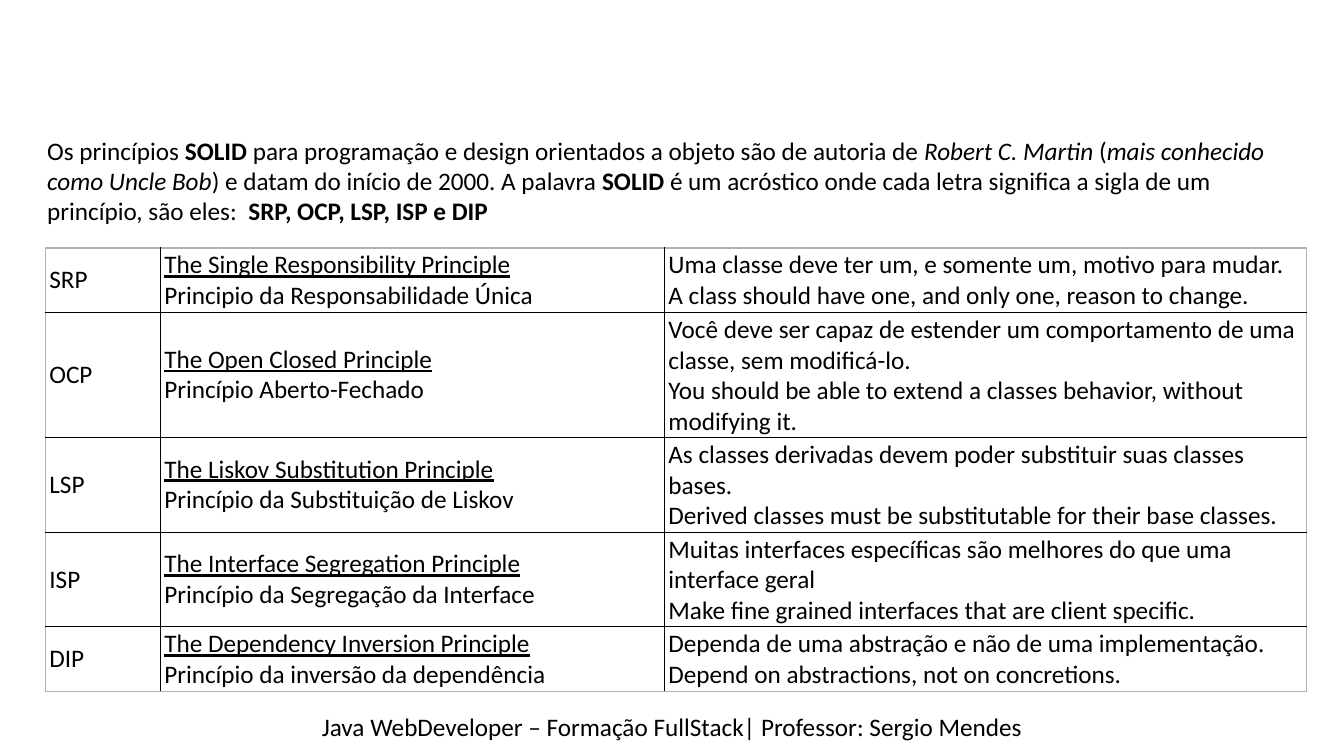
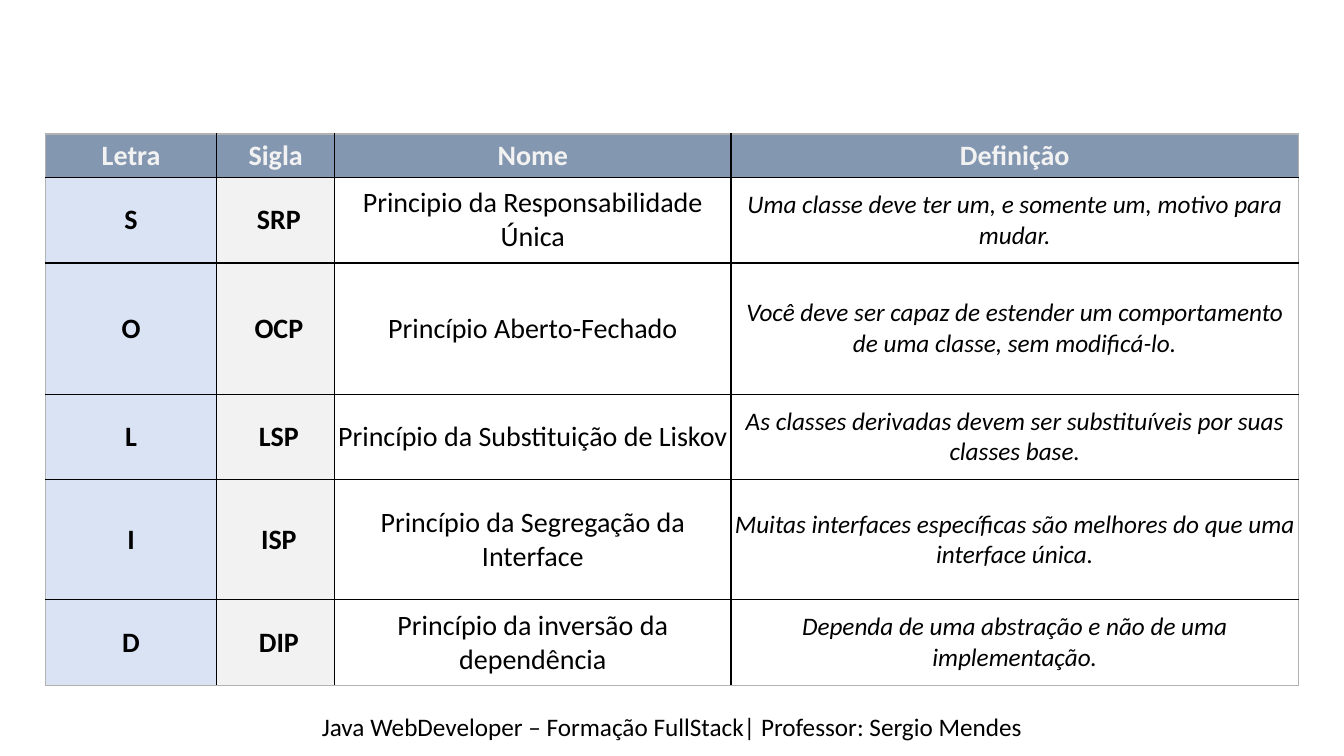
from pptx import Presentation
from pptx.dml.color import RGBColor
from pptx.enum.text import MSO_ANCHOR, MSO_AUTO_SIZE, PP_ALIGN
from pptx.oxml import parse_xml
from pptx.oxml.ns import nsdecls
from pptx.util import Inches, Pt

LEFT, CENTER = PP_ALIGN.LEFT, PP_ALIGN.CENTER
MIDDLE = MSO_ANCHOR.MIDDLE
GROW = MSO_AUTO_SIZE.SHAPE_TO_FIT_TEXT

THEME = {
    "font": "Calibri", "body": 18, "large": 20,
    "ink": "000000", "edge": "B2B2B2", "pale": "F2F2F2",
    "head": "8497B0", "blue": "DAE3F3",
}
WIDE, HIGH = 13.33, 7.5
SIDE = 0.45

# Content: a text is a list of (words, style) runs; style letters are b, i, u
FOOTER = "Java WebDeveloper – Formação FullStack| Professor: Sergio Mendes"

INTRO = [
    ("Os princípios ", ""), ("SOLID", "b"),
    (" para programação e design orientados a objeto são de autoria de ", ""),
    ("Robert C. Martin", "i"), (" (", ""),
    ("mais conhecido como Uncle Bob", "i"),
    (") e datam do início de 2000. A palavra ", ""), ("SOLID", "b"),
    (" é um acróstico onde cada letra significa a sigla de um princípio, "
     "são eles:  ", ""),
    ("SRP, OCP, LSP, ISP e DIP", "b"),
]

# Code, English name, Portuguese name, Portuguese rule, English rule
RULES = [
    ("SRP", "The Single Responsibility Principle",
     "Principio da Responsabilidade Única",
     "Uma classe deve ter um, e somente um, motivo para mudar.",
     "A class should have one, and only one, reason to change."),
    ("OCP", "The Open Closed Principle", "Princípio Aberto-Fechado",
     "Você deve ser capaz de estender um comportamento de uma classe, "
     "sem modificá-lo.",
     "You should be able to extend a classes behavior, without modifying it."),
    ("LSP", "The Liskov Substitution Principle",
     "Princípio da Substituição de Liskov",
     "As classes derivadas devem poder substituir suas classes bases.",
     "Derived classes must be substitutable for their base classes."),
    ("ISP", "The Interface Segregation Principle",
     "Princípio da Segregação da Interface",
     "Muitas interfaces específicas são melhores do que uma interface geral",
     "Make fine grained interfaces that are client specific."),
    ("DIP", "The Dependency Inversion Principle",
     "Princípio da inversão da dependência",
     "Dependa de uma abstração e não de uma implementação.",
     "Depend on abstractions, not on concretions."),
]

HEADS = ["Letra", "Sigla", "Nome", "Definição"]
BRIEFS = [
    "Uma classe deve ter um, e somente um, motivo para mudar.",
    "Você deve ser capaz de estender um comportamento de uma classe, "
    "sem modificá-lo.",
    "As classes derivadas devem ser substituíveis por suas classes base.",
    "Muitas interfaces específicas são melhores do que uma interface única.",
    "Dependa de uma abstração e não de uma implementação.",
]


def write(frame, runs, size=THEME["body"], color=THEME["ink"], align=LEFT):
    """Fill a frame with one paragraph; a newline in a run breaks the line."""
    para = frame.paragraphs[0]
    para.alignment = align
    for words, style in runs:
        for n, line in enumerate(words.split("\n")):
            if n:
                para.add_line_break()
            if not line:
                continue
            run = para.add_run()
            run.text = line
            font = run.font
            font.name, font.size = THEME["font"], Pt(size)
            font.color.rgb = RGBColor.from_string(color)
            font.bold, font.italic = "b" in style, "i" in style
            font.underline = "u" in style


def add_text(slide, box, runs, **form):
    frame = slide.shapes.add_textbox(*map(Inches, box)).text_frame
    frame.word_wrap = True
    frame.auto_size = GROW
    write(frame, runs, **form)


def add_edges(cell, row, col, rows, cols):
    """Black inner lines, grey lines around the table."""
    outer = {"L": col == 0, "R": col == cols - 1,
             "T": row == 0, "B": row == rows - 1}
    props = cell._tc.get_or_add_tcPr()
    for side, out in outer.items():
        color = THEME["edge" if out else "ink"]
        props.append(parse_xml(
            f'<a:ln{side} {nsdecls("a")} w="12700"><a:solidFill>'
            f'<a:srgbClr val="{color}"/></a:solidFill></a:ln{side}>'))


def add_grid(slide, top, widths, heights, cells, pad):
    """Each cell is a pair: runs, and a dict of format with optional fill."""
    rows, cols = len(heights), len(widths)
    box = (SIDE, top, sum(widths), sum(heights))
    table = slide.shapes.add_table(rows, cols, *map(Inches, box)).table
    table.first_row = table.horz_banding = False
    for part, size in zip(table.columns, widths):
        part.width = Inches(size)
    for part, size in zip(table.rows, heights):
        part.height = Inches(size)
    for r, line in enumerate(cells):
        for c, (runs, form) in enumerate(line):
            cell = table.cell(r, c)
            cell.vertical_anchor = MIDDLE
            cell.margin_left = cell.margin_right = Inches(pad)
            cell.margin_top = cell.margin_bottom = Inches(0.02)
            add_edges(cell, r, c, rows, cols)
            form = dict(form)
            fill = form.pop("fill", None)
            if fill:
                cell.fill.solid()
                cell.fill.fore_color.rgb = RGBColor.from_string(fill)
            else:
                cell.fill.background()
            write(cell.text_frame, runs, **form)


def add_slide(deck):
    slide = deck.slides.add_slide(deck.slide_layouts[6])
    add_text(slide, (0, 7.01, WIDE, 0.4), [(FOOTER, "")], align=CENTER)
    return slide


def add_rules(deck):
    slide = add_slide(deck)
    add_text(slide, (0.37, 1.29, 12.59, 1.31), INTRO)
    cells = [
        [([(code, "")], {}),
         ([(name + "\n", "u"), (local, "")], {}),
         ([(rule + "\n" + gloss, "")], {})]
        for code, name, local, rule, gloss in RULES
    ]
    add_grid(slide, 2.46, [1.14, 5, 6.37], [0.63, 1.24, 0.94, 0.94, 0.63],
             cells, 0.04)


def add_summary(deck):
    slide = add_slide(deck)
    big = {"size": THEME["large"], "align": CENTER}
    head = {**big, "color": THEME["pale"], "fill": THEME["head"]}
    cells = [[([(word, "b")], head) for word in HEADS]]
    for (code, _, local, _, _), brief in zip(RULES, BRIEFS):
        cells.append([
            ([(code[0], "b")], {**big, "fill": THEME["blue"]}),
            ([(" " + code, "b")], {**big, "fill": THEME["pale"]}),
            ([(local, "")], big),
            ([(brief, "i")], {"align": CENTER}),
        ])
    add_grid(slide, 1.33, [1.7, 1.17, 3.93, 5.63],
             [0.43, 0.85, 1.3, 0.85, 1.19, 0.85], cells, 0.03)


def main():
    deck = Presentation()
    deck.slide_width, deck.slide_height = Inches(WIDE), Inches(HIGH)
    add_rules(deck)
    add_summary(deck)
    deck.save("out.pptx")


if __name__ == "__main__":
    main()
